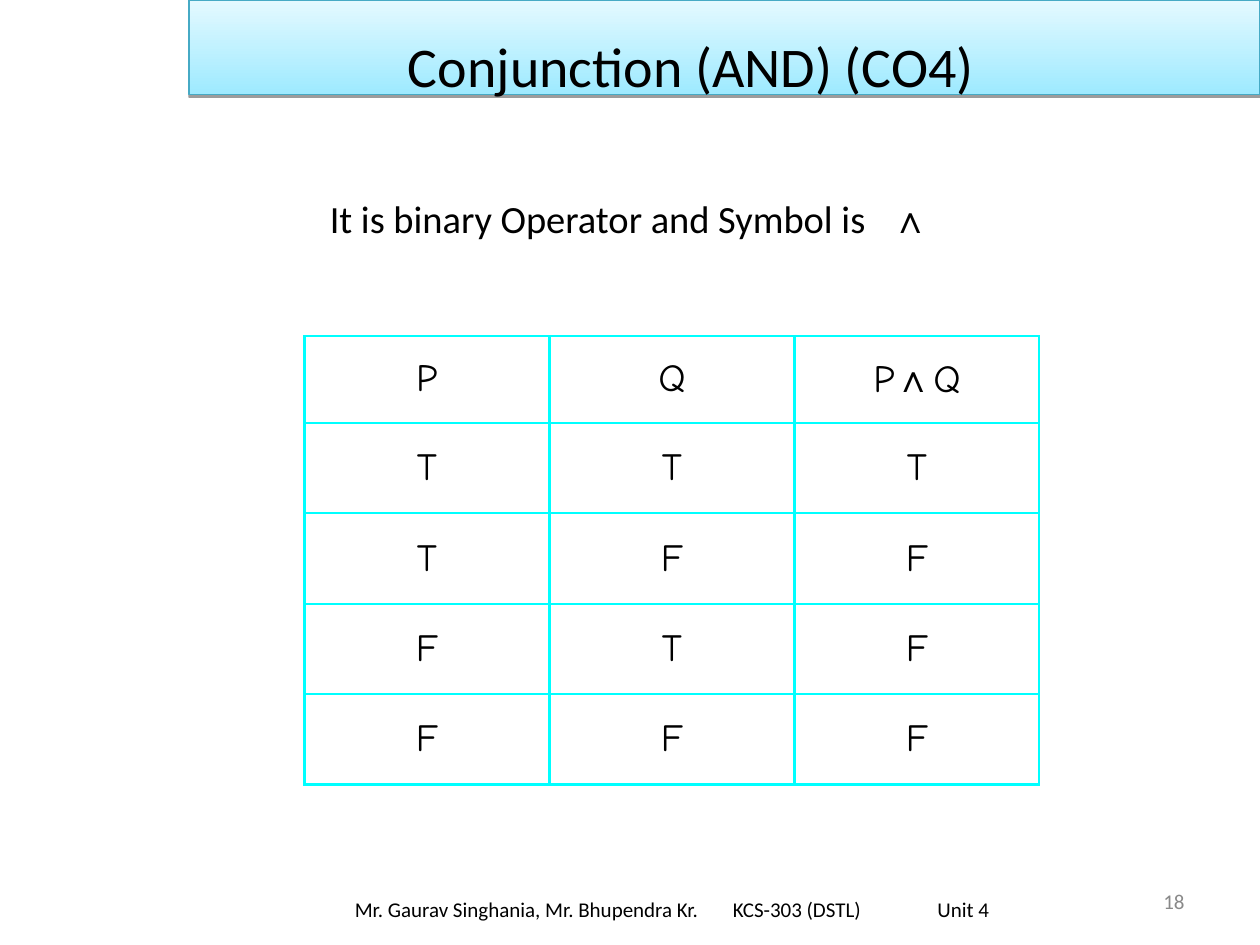
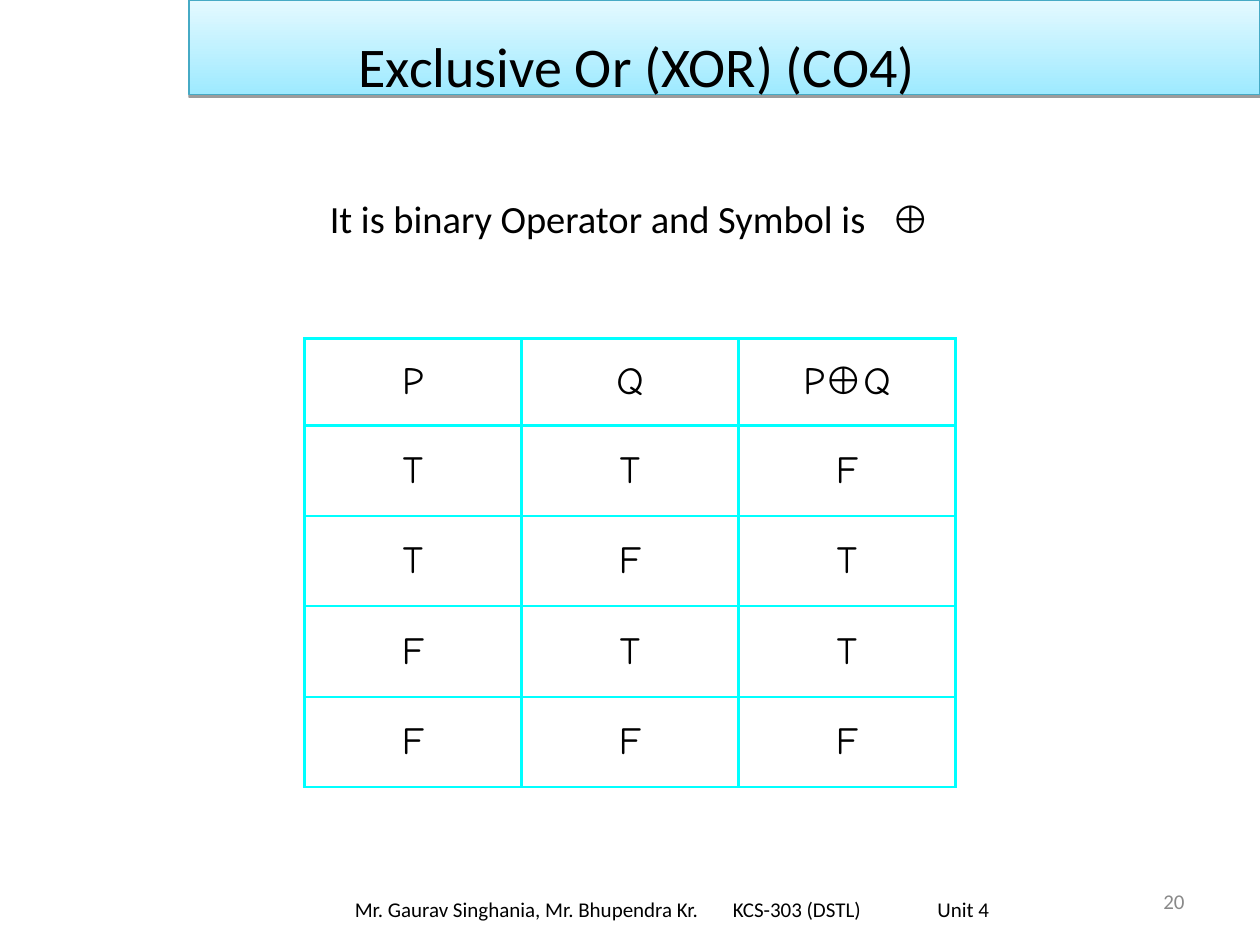
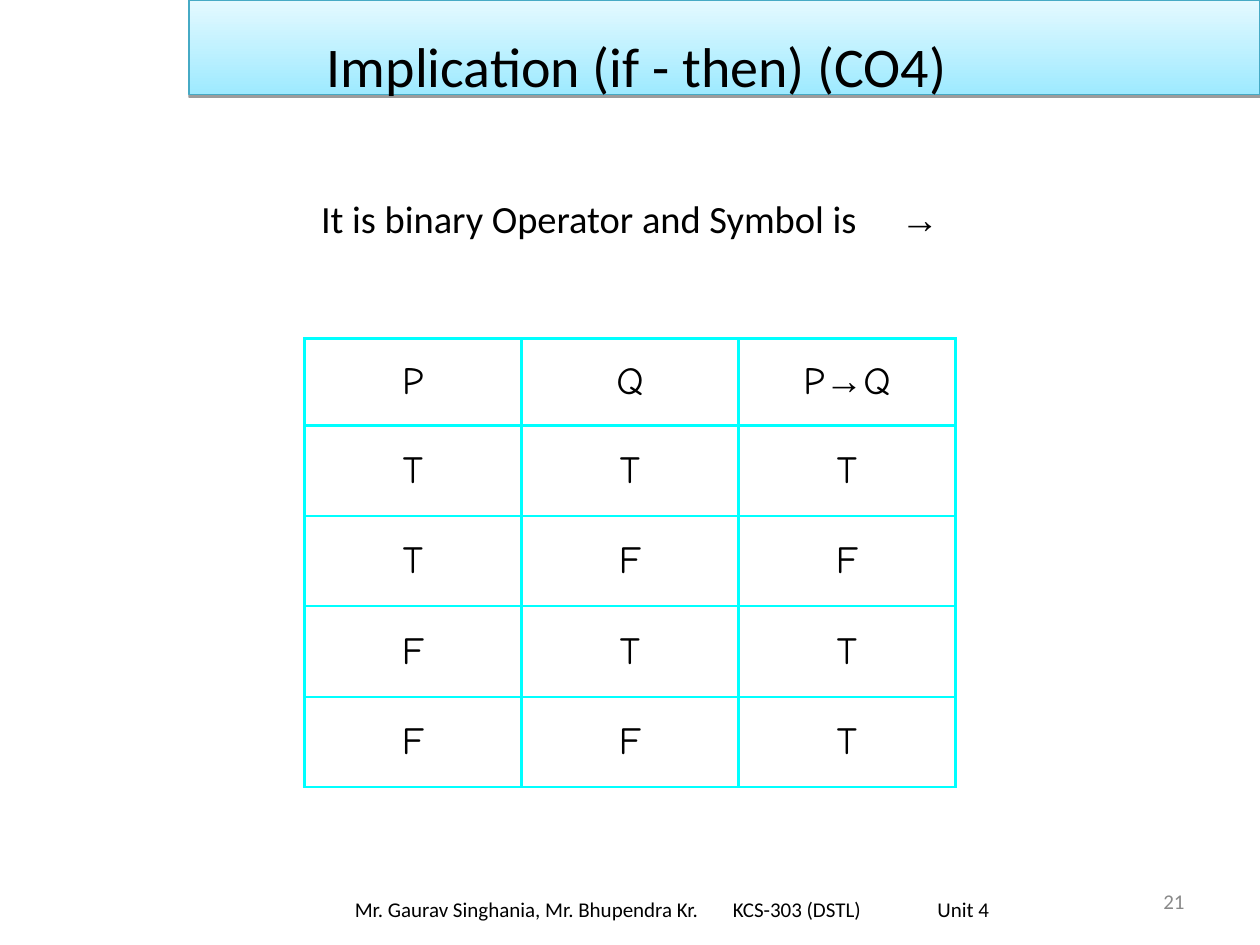
from dataclasses import dataclass
from typing import Any, NamedTuple

import pptx
import pptx.dml.color
import pptx.enum.shapes
import pptx.enum.text
import pptx.oxml
import pptx.oxml.ns
import pptx.util

Pt = pptx.util.Pt
ALIGN = pptx.enum.text.PP_ALIGN
ANCHOR = pptx.enum.text.MSO_ANCHOR
DRAWING_NS = pptx.oxml.ns.nsdecls("a")


@dataclass(frozen=True)
class Theme:
    text: str = "000000"
    number: str = "898989"
    band_low: str = "9EEAFF"
    band_high: str = "E4F9FF"
    band_line: str = "46AAC5"
    grid: str = "00FFFF"
    font: str = "Calibri"
    symbol_font: str = "Arial"
    table_font: str = "Comic Neue"
    title_size: float = 32
    body_size: float = 22
    footer_size: float = 12
    band_line_width: float = 0.75
    grid_width: float = 1.47


class Box(NamedTuple):
    left: float
    top: float
    width: float
    height: float

    def lengths(self) -> list[pptx.util.Length]:
        return [Pt(v) for v in self]


class Span(NamedTuple):
    text: str
    size: float
    font: str
    color: str = "000000"
    bold: bool = False
    spacing: float = 0


@dataclass(frozen=True)
class Operator:
    title: str
    title_shift: float
    number: str
    symbol: str
    symbol_gap: float
    bold_statement: bool
    bold_heading: bool
    table_top: float
    column_width: float
    results: str


THEME = Theme()
BAND = Box(108, 0, 612, 54)
TITLE = Box(54, 0, 612, 66)
STATEMENT = Box(42, 108, 636, 66)
NUMBER = Box(516, 500.5, 168, 28.5)
FOOTER = Box(186, 505.5, 396, 28.5)
TABLE_LEFT = 174
HEADER_HEIGHT = 49.7
ROW_HEIGHT = 51.65
INPUTS = ("TT", "TF", "FT", "FF")

OPERATORS = (
    Operator("Conjunction (AND) (CO4)", 70, "18", "∧", 10, True, False, 192, 140, "TFFF"),
    Operator("Exclusive Or (XOR) (CO4)", 8, "20", "⊕", 10, False, True, 193.5, 124, "FTTF"),
    Operator("Implication (if - then) (CO4)", 8, "21", "→", 20, False, True, 193.5, 124, "TFTT"),
)


def rgb(color: str) -> pptx.dml.color.RGBColor:
    return pptx.dml.color.RGBColor.from_string(color)


def write(tf: Any, spans: list[Span], align: Any = ALIGN.CENTER) -> None:
    p = tf.paragraphs[0]
    p.alignment = align
    for span in spans:
        r = p.add_run()
        r.text = span.text
        formats = {"name": span.font, "size": Pt(span.size), "bold": span.bold}
        for name, value in formats.items():
            setattr(r.font, name, value)
        r.font.color.rgb = rgb(span.color)
        if span.spacing:
            r.font._element.set("spc", str(round(span.spacing * 100)))


def add_text(s: Any, box: Box, spans: list[Span], align: Any = ALIGN.CENTER,
             anchor: Any = ANCHOR.MIDDLE) -> None:
    tf = s.shapes.add_textbox(*box.lengths()).text_frame
    tf.word_wrap = True
    tf.vertical_anchor = anchor
    write(tf, spans, align)


def add_band(s: Any) -> None:
    sp = s.shapes.add_shape(pptx.enum.shapes.MSO_SHAPE.RECTANGLE, *BAND.lengths())
    sp.fill.gradient()
    sp.fill.gradient_angle = 90
    for stop, color in zip(sp.fill.gradient_stops, (THEME.band_low, THEME.band_high)):
        stop.color.rgb = rgb(color)
    sp.line.color.rgb = rgb(THEME.band_line)
    sp.line.width = Pt(THEME.band_line_width)
    sp.shadow.inherit = False
    effects = sp.element.spPr.find(pptx.oxml.ns.qn("a:effectLst"))
    effects.append(pptx.oxml.parse_xml(
        f'<a:outerShdw {DRAWING_NS} dist="{Pt(1.6)}" dir="5400000" rotWithShape="0">'
        '<a:srgbClr val="000000"><a:alpha val="38000"/></a:srgbClr></a:outerShdw>'))


def set_title(s: Any, op: Operator) -> None:
    """Place the title in front of the band, shifted right by its left margin."""
    sp = s.shapes.title
    sp.element.getparent().append(sp.element)
    for name, value in zip(("left", "top", "width", "height"), TITLE.lengths()):
        setattr(sp, name, value)
    tf = sp.text_frame
    formats = {
        "auto_size": pptx.enum.text.MSO_AUTO_SIZE.NONE,
        "word_wrap": True,
        "vertical_anchor": ANCHOR.MIDDLE,
        "margin_left": Pt(7.2 + op.title_shift),
        "margin_top": Pt(12),
    }
    for name, value in formats.items():
        setattr(tf, name, value)
    write(tf, [Span(op.title, THEME.title_size, THEME.font)])


def add_statement(s: Any, op: Operator) -> None:
    size = THEME.body_size
    add_text(s, STATEMENT, [
        Span("It is binary Operator and Symbol is", size, THEME.font),
        Span(" ", size, THEME.font, spacing=op.symbol_gap),
        Span(op.symbol, size, THEME.symbol_font, bold=op.bold_statement),
    ], anchor=ANCHOR.TOP)


def add_borders(cell: Any) -> None:
    tc_pr = cell._tc.get_or_add_tcPr()
    for index, side in enumerate("LRTB"):
        tc_pr.insert(index, pptx.oxml.parse_xml(
            f'<a:ln{side} {DRAWING_NS} w="{Pt(THEME.grid_width)}"><a:solidFill>'
            f'<a:srgbClr val="{THEME.grid}"/></a:solidFill></a:ln{side}>'))


def add_truth_table(s: Any, op: Operator) -> None:
    def letter(text: str) -> Span:
        return Span(text, THEME.body_size, THEME.table_font)

    symbol = Span(op.symbol, THEME.body_size, THEME.symbol_font, bold=op.bold_heading)
    rows = [[[letter("P")], [letter("Q")], [letter("P"), symbol, letter("Q")]]]
    rows += [[[letter(v)] for v in pair + result] for pair, result in zip(INPUTS, op.results)]
    box = Box(TABLE_LEFT, op.table_top, 3 * op.column_width,
              HEADER_HEIGHT + len(INPUTS) * ROW_HEIGHT)
    table = s.shapes.add_table(len(rows), 3, *box.lengths()).table
    table.first_row = table.horz_banding = False
    for column in table.columns:
        column.width = Pt(op.column_width)
    for i, row in enumerate(rows):
        table.rows[i].height = Pt(ROW_HEIGHT if i else HEADER_HEIGHT)
        for j, spans in enumerate(row):
            cell = table.cell(i, j)
            cell.fill.background()
            cell.vertical_anchor = ANCHOR.MIDDLE
            add_borders(cell)
            write(cell.text_frame, spans)


def add_footer(s: Any) -> None:
    size = THEME.footer_size
    add_text(s, FOOTER, [
        Span("Mr. Gaurav Singhania, Mr. Bhupendra Kr.\tKCS-303 (DSTL)", size, THEME.font),
        Span(" ", size, THEME.font, spacing=41),
        Span("Unit 4", size, THEME.font),
    ])


def add_operator_slide(prs: Any, op: Operator) -> None:
    s = prs.slides.add_slide(prs.slide_layouts.get_by_name("Title Only"))
    add_text(s, NUMBER, [Span(op.number, THEME.footer_size, THEME.font, THEME.number)],
             ALIGN.RIGHT)
    add_band(s)
    set_title(s, op)
    add_statement(s, op)
    add_truth_table(s, op)
    add_footer(s)


def main() -> None:
    prs = pptx.Presentation()
    prs.slide_width, prs.slide_height = Pt(720), Pt(540)
    for op in OPERATORS:
        add_operator_slide(prs, op)
    prs.save("out.pptx")


if __name__ == "__main__":
    main()
